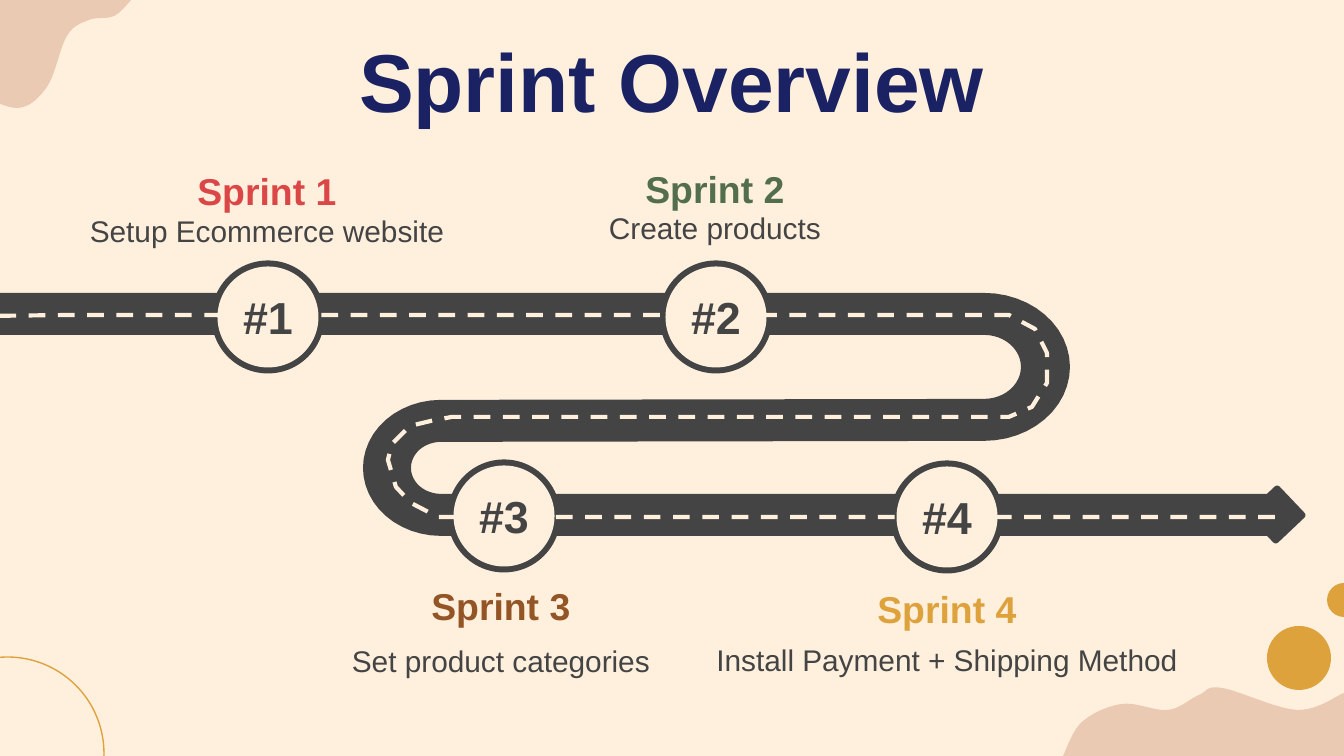
import math
import pptx
import pptx.util
from pptx.dml.color import RGBColor
from pptx.enum.dml import MSO_LINE
from pptx.enum.shapes import MSO_SHAPE
from pptx.enum.text import MSO_ANCHOR, MSO_AUTO_SIZE, PP_ALIGN

W, H = 1344, 756
PX = 9144000 / W
CREAM = RGBColor(0xFF, 0xF0, 0xDE)
BLUSH = RGBColor(0xEB, 0xCA, 0xB3)
GOLD = RGBColor(0xDE, 0xA2, 0x3C)
DARK = RGBColor(0x44, 0x44, 0x44)
NAVY = RGBColor(0x1A, 0x22, 0x63)
RED = RGBColor(0xDB, 0x46, 0x46)
GREEN = RGBColor(0x53, 0x6E, 0x4C)
BROWN = RGBColor(0x94, 0x55, 0x26)


def add_shape(kind, box, fill):
    sp = s.shapes.add_shape(kind, *[round(v * PX) for v in box])
    sp.shadow.inherit = False
    sp.fill.solid()
    sp.fill.fore_color.rgb = fill
    sp.line.fill.background()
    return sp


def write(tf, text, size, color, bold):
    tf.text = text
    tf.auto_size = MSO_AUTO_SIZE.NONE
    tf.vertical_anchor = MSO_ANCHOR.MIDDLE
    tf.margin_left = tf.margin_right = round(5 * PX)
    tf.margin_top = tf.margin_bottom = round(3 * PX)
    p = tf.paragraphs[0]
    p.alignment = PP_ALIGN.CENTER
    r = p.runs[0]
    r.font.name = "Arial"
    r.font.size = pptx.util.Pt(size)
    r.font.bold = bold
    r.font.color.rgb = color


prs = pptx.Presentation()
prs.slide_width = round(W * PX)
prs.slide_height = round(H * PX)
s = prs.slides.add_slide(prs.slide_layouts[5])
s.background.fill.solid()
s.background.fill.fore_color.rgb = CREAM

title = s.shapes.title
title.left, title.top, title.width, title.height = [round(v * PX) for v in (105, 37, 1134, 85)]
write(title.text_frame, "Sprint Overview", 44, NAVY, True)

for cx, cy, radius in ((1299, 658, 32), (1344, 600, 17)):
    add_shape(MSO_SHAPE.OVAL, (cx - radius, cy - radius, 2 * radius, 2 * radius), GOLD)
corner_ring = add_shape(MSO_SHAPE.OVAL, (-89, 657, 193, 193), GOLD)
corner_ring.fill.background()
corner_ring.line.color.rgb = GOLD
corner_ring.line.width = pptx.util.Pt(0.75)

ROAD_WIDTH = 42
TOP_ROAD, BOTTOM_ROAD = 293, 494
ROAD_START, ROAD_END = -3, 1280
TOP_JOIN, BOTTOM_JOIN = 658, 1046
for left, right, top in ((ROAD_START, TOP_JOIN, TOP_ROAD), (BOTTOM_JOIN, ROAD_END, BOTTOM_ROAD)):
    add_shape(MSO_SHAPE.RECTANGLE, (left, top, right - left, ROAD_WIDTH), DARK)
arrow = add_shape(MSO_SHAPE.ROUNDED_RECTANGLE, (1255, 493, 43, 43), DARK)
arrow.adjustments[0] = 0.08
arrow.rotation = 226.6

RING, DISC = 113, 101
sprints = [
    ("1", 268, 317, RED, 267, 175, "Setup Ecommerce website", 383, 208),
    ("2", 716, 317, GREEN, 715, 173, "Create products", 243, 205),
    ("3", 504, 516, BROWN, 501, 590, "Set product categories", 341, 638),
    ("4", 947, 517, GOLD, 947, 593, "Install Payment + Shipping Method", 482, 637),
]
for sprint in sprints:
    cx, cy = sprint[1:3]
    add_shape(MSO_SHAPE.OVAL, (cx - RING / 2, cy - RING / 2, RING, RING), DARK)

hill_knots = [(1344, 693), (1297, 710), (1222, 688), (1199, 695), (1168, 710),
              (1122, 704), (1082, 722), (1063, 756)]
cloud_knots = [(140, -11), (116, 15), (89, 20), (67, 36), (47, 87), (16, 108), (-30, 85), (-38, 51)]
hill_corners = [(W, H)]
cloud_corners = [(-38, -28), (140, -28)]
outlines = []
for knots, corners in ((hill_knots, hill_corners), (cloud_knots, cloud_corners)):
    padded = [knots[0], *knots, knots[-1]]
    smooth = [knots[0]]
    for before, a, b, after in zip(padded, padded[1:], padded[2:], padded[3:]):
        for step in range(1, 11):
            t = step / 10
            smooth.append([q + t * (r - p + t * (2 * p - 5 * q + 4 * r - n
                                                 + t * (3 * q - p - 3 * r + n))) / 2
                           for p, q, r, n in zip(before, a, b, after)])
    outlines.append((smooth + corners, BLUSH))

RIGHT_BEND, LEFT_BEND = (984, 367), (441, 468)
road = [(TOP_JOIN, TOP_ROAD)]
for (cx, cy), rx, ry, start, end in ((RIGHT_BEND, 86, 74, -90, 90), (LEFT_BEND, 30, 26, 270, 90)):
    for step in range(25):
        angle = math.radians(start + (end - start) * step / 24)
        road.append((cx + rx * math.cos(angle), cy + ry * math.sin(angle)))
road += [(BOTTOM_JOIN, BOTTOM_ROAD), (BOTTOM_JOIN, BOTTOM_ROAD + ROAD_WIDTH)]
for (cx, cy), rx, ry, start, end in ((LEFT_BEND, 78, 68, 90, 270), (RIGHT_BEND, 37, 32, 90, -90)):
    for step in range(25):
        angle = math.radians(start + (end - start) * step / 24)
        road.append((cx + rx * math.cos(angle), cy + ry * math.sin(angle)))
road.append((TOP_JOIN, TOP_ROAD + ROAD_WIDTH))
outlines.append((road, DARK))

lane_bottom = [(1275, 517), (438, 517)]
lane_left_bend = [(411, 503), (396, 487), (388, 460), (392, 444), (410, 426), (431, 421)]
lane_middle = [(452, 417), (1009, 417)]
lane_right_bend = [(1032, 407), (1047, 383), (1047, 353), (1035, 329)]
lane_top = [(1009, 315), (74, 315), (-9, 316)]
lane = lane_bottom + lane_left_bend + lane_middle + lane_right_bend + lane_top
outlines.append((lane, None))

for points, fill in outlines:
    points = [(x * PX, y * PX) for x, y in points]
    fb = s.shapes.build_freeform(*points[0])
    fb.add_line_segments(points[1:], close=fill is not None)
    sp = fb.convert_to_shape()
    sp.shadow.inherit = False
    if fill is None:
        sp.fill.background()
        sp.line.color.rgb = CREAM
        sp.line.width = pptx.util.Pt(2.25)
        sp.line.dash_style = MSO_LINE.DASH
    else:
        sp.fill.solid()
        sp.fill.fore_color.rgb = fill
        sp.line.fill.background()

for number, cx, cy, color, text_cx, name_top, task, task_width, task_top in sprints:
    disc = add_shape(MSO_SHAPE.OVAL, (cx - DISC / 2, cy - DISC / 2, DISC, DISC), CREAM)
    write(disc.text_frame, "#" + number, 24, DARK, True)
    disc.text_frame.word_wrap = False
    for text, width, top, height, size, ink, bold in (
            ("Sprint " + number, 180, name_top, 32, 20, color, True),
            (task, task_width, task_top, 46, 16, DARK, False)):
        box = (text_cx - width / 2, top, width, height)
        tb = s.shapes.add_textbox(*[round(v * PX) for v in box])
        write(tb.text_frame, text, size, ink, bold)
        tb.text_frame.word_wrap = True

prs.save("out.pptx")
